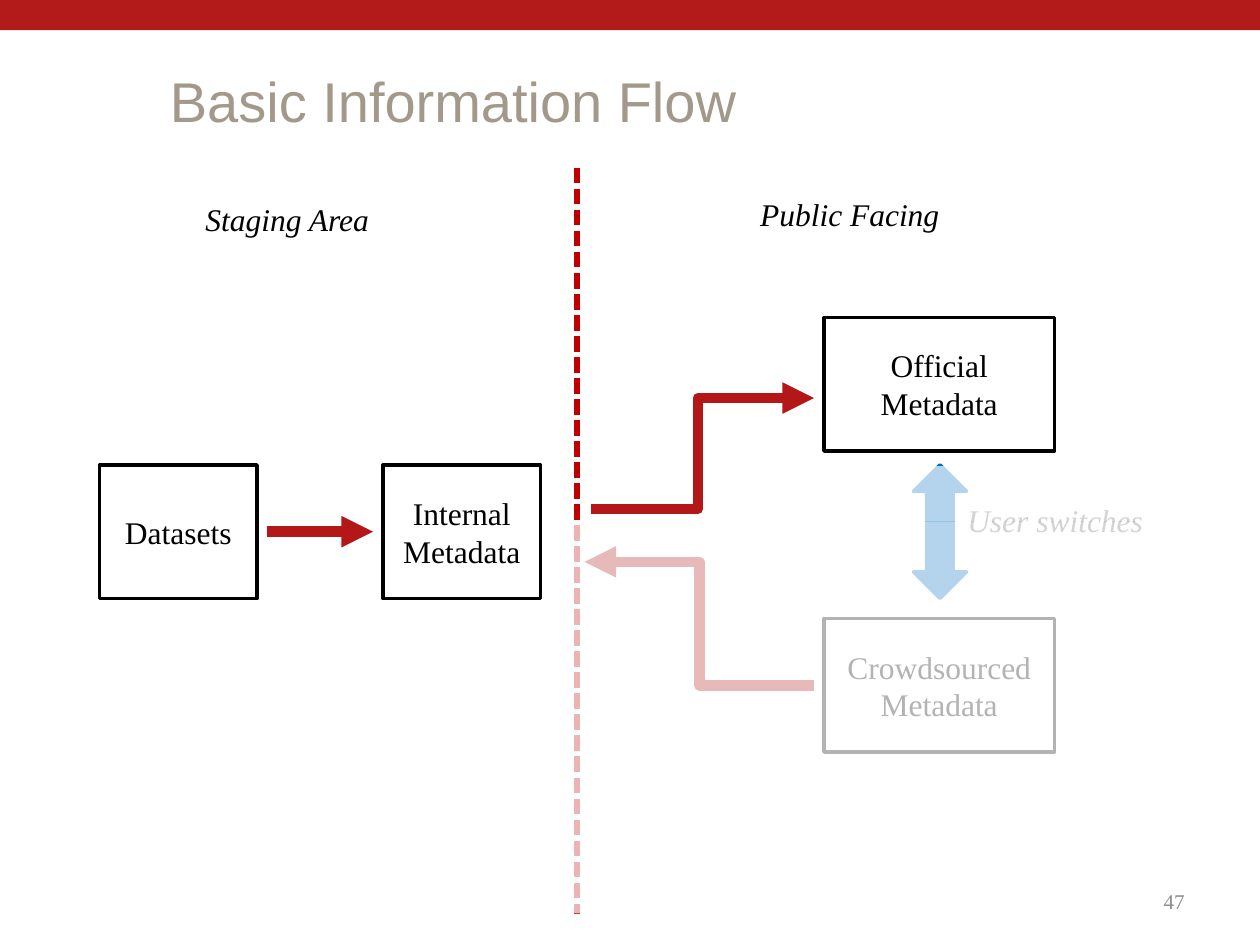
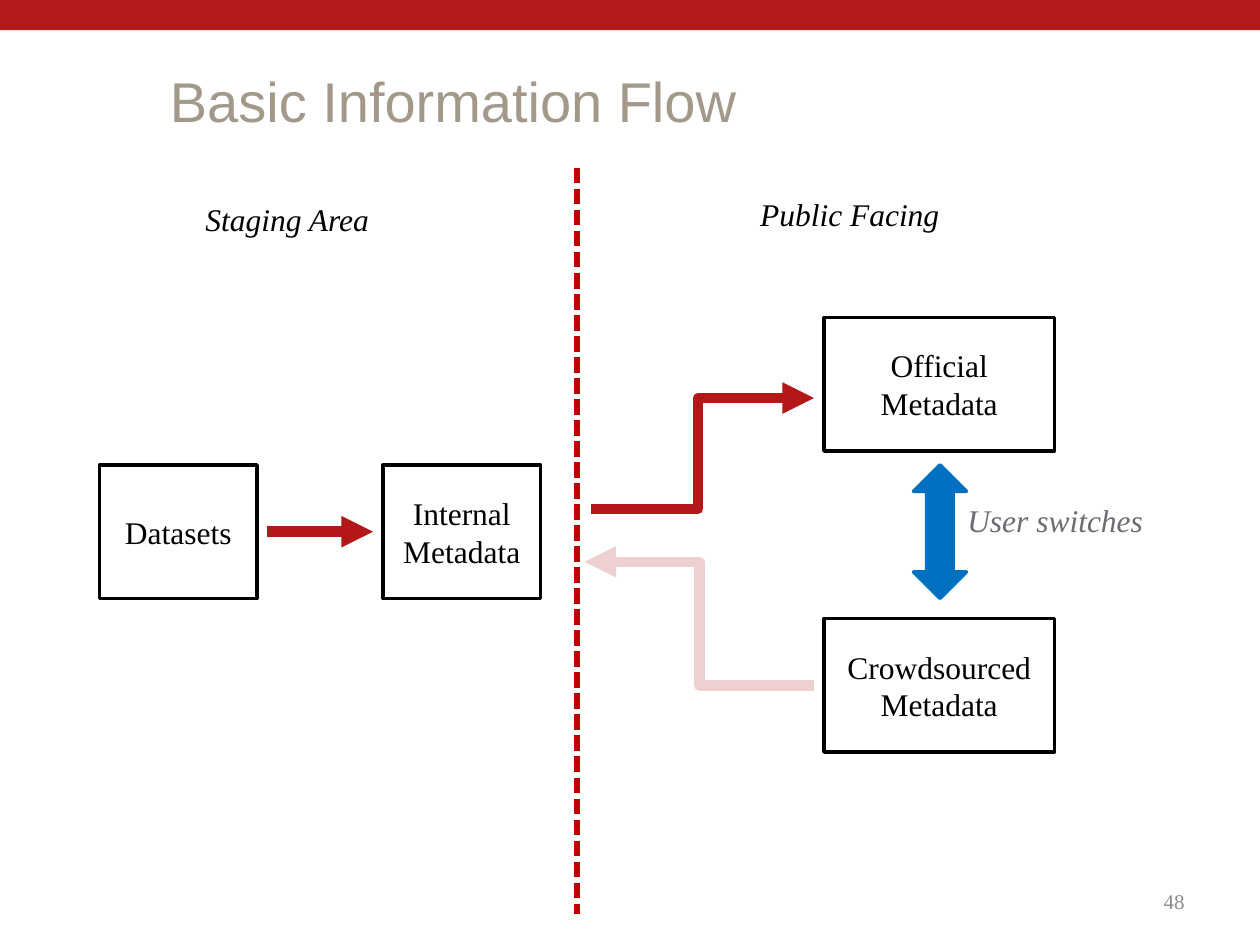
from pptx import Presentation
from pptx import util as u
from pptx.dml.color import RGBColor
from pptx.enum import dml, shapes, text
from pptx.oxml.ns import qn
from lxml import etree

# Colours and fonts
WHITE = RGBColor(0xFF, 0xFF, 0xFF)
BLACK = RGBColor(0, 0, 0)
BAND = RGBColor(0xB3, 0x1B, 0x1B)
FLOW = RGBColor(0xB3, 0x17, 0x17)
DASH = RGBColor(0xC0, 0, 0)
BLUE = RGBColor(0, 0x70, 0xC0)
TAN = RGBColor(0xA2, 0x99, 0x8B)
GREY = RGBColor(0x6C, 0x6C, 0x73)
PALE = RGBColor(0x8C, 0x8C, 0x8C)
SANS, SERIF = "Arial", "Times New Roman"

# Content: lengths in inches
WIDE, HIGH = 10, 7.5
TITLE = "Basic Information Flow"
TALL, GAP = 1.06, 0.08           # box height, gap between arrow and box
MID, RIGHT = 3.69, 6.54          # top of the middle row, left of the right column
BOXES = {                        # name: (left, top, width, lines)
    "official": (RIGHT, 2.52, 1.83, ["Official", "Metadata"]),
    "crowd": (RIGHT, 4.91, 1.83, ["Crowdsourced", "Metadata"]),
    "internal": (3.04, MID, 1.25, ["Internal", "Metadata"]),
    "data": (0.79, MID, 1.25, ["Datasets"]),
}
LABELS = [                       # words, left, top, width, colour
    ("Staging Area", 1.23, 1.54, 2.1, BLACK),
    ("Public Facing", 5.73, 1.5, 2.03, BLACK),
    ("User switches", 7.36, 3.93, 2.03, GREY),
]
SPLIT, FOOT = 4.58, 7.25         # dashed divider: x and lower end
VEIL = 4.14                      # top of the fading veil
SLIDES = [                       # number, veils (left, top, width, height), opacity
    (47, [(4.38, VEIL, 4.79, FOOT - VEIL), (6.51, 3.7, 2.82, 0.44)], 70),
    (48, [(4.64, VEIL, 1.82, FOOT - VEIL)], 80),
]


def sub(node, tag, **attrs):
    return etree.SubElement(node, qn(tag), attrs)


def write(shape, lines, size, color, font=SERIF, align=text.PP_ALIGN.CENTER,
          anchor=text.MSO_ANCHOR.MIDDLE, italic=False):
    frame = shape.text_frame
    frame.word_wrap = True
    frame.vertical_anchor = anchor
    frame.text = "\n".join(lines)
    for para in frame.paragraphs:
        para.alignment = align
        para.font.name, para.font.size = font, u.Pt(size)
        para.font.color.rgb, para.font.italic = color, italic


def label(slide, words, at, size, color, **style):
    box = slide.shapes.add_textbox(*map(u.Inches, at))
    write(box, [words], size, color, **style)


def block(slide, at, fill, line=None, kind=shapes.MSO_SHAPE.RECTANGLE):
    shape = slide.shapes.add_shape(kind, *map(u.Inches, at))
    shape.shadow.inherit = False
    shape.fill.solid()
    shape.fill.fore_color.rgb = fill
    if line is None:
        shape.line.fill.background()
    else:
        shape.line.color.rgb, shape.line.width = line, u.Pt(2)
        sub(shape.line._ln, "a:round")
    return shape


def link(slide, start, end, color, width, kind=shapes.MSO_CONNECTOR.STRAIGHT,
         dash=None, head=True, bend=None):
    line = slide.shapes.add_connector(kind, *map(u.Inches, (*start, *end)))
    line.line.color.rgb, line.line.width = color, u.Pt(width)
    if dash:
        line.line.dash_style = dash
    ln = line.line._ln
    sub(ln, "a:round")
    if head:
        sub(ln, "a:tailEnd", type="triangle")
    props = line._element.spPr
    sub(props, "a:effectLst")
    if bend:
        guides = props.find(qn("a:prstGeom")).get_or_add_avLst()
        sub(guides, "a:gd", name="adj1", fmla=f"val {round(bend * 100000)}")


def frame(slide, number):
    # Band, title and slide number
    block(slide, (0, 0, WIDE, 0.24), BAND)
    label(slide, TITLE, (1.25, 0.42, 8.75, 0.75), 32, TAN, font=SANS,
          align=text.PP_ALIGN.LEFT)
    label(slide, str(number), (7.17, 6.95, 2.33, 0.4), 12, PALE,
          align=text.PP_ALIGN.RIGHT)


def flow(slide):
    # Boxes
    for left, top, width, lines in BOXES.values():
        write(block(slide, (left, top, width, TALL), WHITE, BLACK), lines, 18, BLACK)

    # Arrows between boxes, stopping just short of them
    def centre(name):
        return BOXES[name][1] + TALL / 2

    left, _, width, _ = BOXES["data"]
    row, edge = centre("data"), RIGHT - GAP
    elbow = shapes.MSO_CONNECTOR.ELBOW
    link(slide, (left + width + GAP, row), (BOXES["internal"][0] - GAP, row), FLOW, 6)
    link(slide, (edge, centre("crowd")), (4.64, 4.46), FLOW, 6, elbow, bend=0.5)
    link(slide, (4.69, 4.04), (edge, 3.16), FLOW, 6, elbow, bend=0.48)

    # Divider, switch arrow and labels
    link(slide, (SPLIT, 1.33), (SPLIT, FOOT), DASH, 3,
         dash=dml.MSO_LINE.SQUARE_DOT, head=False)
    block(slide, (7.25, MID, 0.42, TALL), BLUE, BLUE, shapes.MSO_SHAPE.UP_DOWN_ARROW)
    for words, left, top, width, color in LABELS:
        label(slide, words, (left, top, width, 0.4), 18, color,
              anchor=text.MSO_ANCHOR.TOP, italic=True)


def fade(slide, veils, share):
    # Translucent white over the parts not yet discussed
    for at in veils:
        veil = block(slide, at, WHITE)
        tone = veil._element.spPr.find(qn("a:solidFill"))[0]
        sub(tone, "a:alpha", val=str(share * 1000))


def main():
    deck = Presentation()
    deck.slide_width, deck.slide_height = u.Inches(WIDE), u.Inches(HIGH)
    for number, veils, share in SLIDES:
        slide = deck.slides.add_slide(deck.slide_layouts[6])
        frame(slide, number)
        flow(slide)
        fade(slide, veils, share)
    deck.save("out.pptx")


if __name__ == "__main__":
    main()
